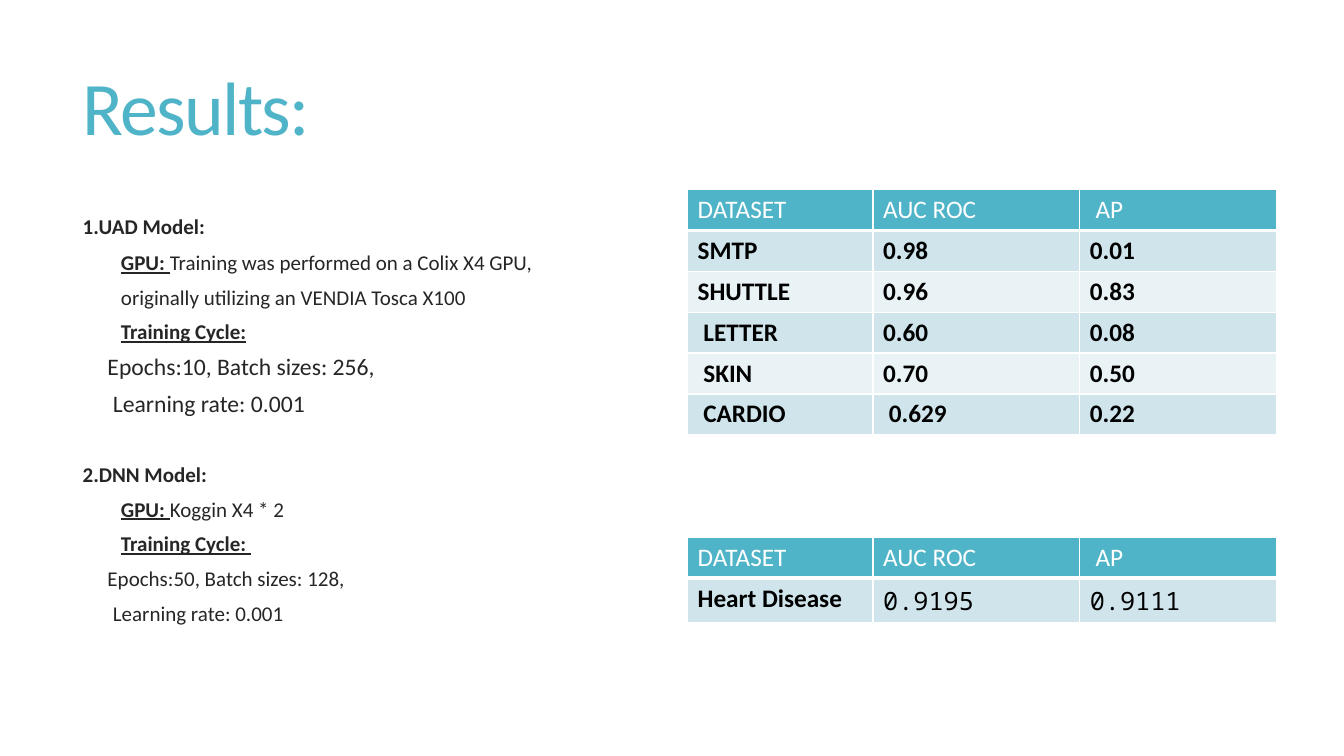
import dataclasses

import lxml.etree
import pptx
import pptx.dml.color
import pptx.enum.text
import pptx.oxml.ns
import pptx.util


@dataclasses.dataclass(frozen=True)
class Theme:
    """Colours, fonts and type sizes of the slide."""

    accent: str = "50B4C8"
    bands: tuple = ("D0E5EB", "E9F2F5")
    light: str = "FFFFFF"
    dark: str = "000000"
    ink: str = "262626"
    font: str = "Calibri"
    mono: str = "Noto Sans Mono"
    title: float = 54
    body: float = 15
    large: float = 16.9
    cell: float = 18
    leading: float = 0.65
    gap: float = 13
    section_gap: float = 38


class SlideBuilder:
    """Places styled elements by percentages of the slide's size."""

    def __init__(self, prs, theme):
        """Add a title and content slide."""
        self.prs, self.theme = prs, theme
        self.slide = prs.slides.add_slide(prs.slide_layouts[1])

    def x(self, share):
        """Return a percentage of the slide width."""
        return round(self.prs.slide_width * share / 100)

    def y(self, share):
        """Return a percentage of the slide height."""
        return round(self.prs.slide_height * share / 100)

    def style(self, font, size, color, name=None, bold=False):
        """Set the look of a font."""
        font.name, font.size, font.bold = name or self.theme.font, pptx.util.Pt(size), bold
        font.color.rgb = pptx.dml.color.RGBColor.from_string(color)

    def place(self, sp, left, top, width, height):
        """Move a placeholder and return its text frame."""
        sp.left, sp.top = self.x(left), self.y(top)
        sp.width, sp.height = self.x(width), self.y(height)
        tf = sp.text_frame
        tf.word_wrap = True
        tf.auto_size = pptx.enum.text.MSO_AUTO_SIZE.NONE
        return tf

    def title(self, text, *box):
        """Fill the title placeholder."""
        tf = self.place(self.slide.shapes.title, *box)
        tf.vertical_anchor = pptx.enum.text.MSO_ANCHOR.MIDDLE
        p = tf.paragraphs[0]
        p.alignment = pptx.enum.text.PP_ALIGN.LEFT
        self.style(p.font, self.theme.title, self.theme.accent)
        r = p.add_run()
        r.text = text
        r.font._element.set("spc", "-120")

    def body(self, sections, *box):
        """Fill the body placeholder with headed sections."""
        tf = self.place(self.slide.placeholders[1], *box)
        tf.vertical_anchor = pptx.enum.text.MSO_ANCHOR.TOP
        tf.margin_top = 0
        for number, (heading, lines) in enumerate(sections):
            p = tf.add_paragraph() if number else tf.paragraphs[0]
            self.line(p, "", heading, 0, self.theme.body, bold=True)
            p.space_before = pptx.util.Pt(self.theme.section_gap if number else 0)
            p.line_spacing = self.theme.leading if number else 1.0
            for label, text, indent, size in lines:
                self.line(tf.add_paragraph(), label, text, indent, size)

    def line(self, p, label, text, indent, size, bold=False):
        """Write one body line with an optional underlined label."""
        p.line_spacing, p.space_before = self.theme.leading, pptx.util.Pt(self.theme.gap)
        p.space_after = pptx.util.Pt(0)
        p.alignment = pptx.enum.text.PP_ALIGN.LEFT
        self.style(p.font, size, self.theme.ink, bold=bold)
        pPr = p._p.get_or_add_pPr()
        pPr.set("marL", str(self.x(indent)))
        pPr.set("indent", "0")
        pPr.insert_element_before(
            pPr.makeelement(pptx.oxml.ns.qn("a:buNone")), "a:tabLst", "a:defRPr", "a:extLst")
        if label:
            r = p.add_run()
            r.text = label
            r.font.bold = r.font.underline = True
        if text:
            p.add_run().text = text

    def table(self, rows, left, top, widths, heights, value_font=None):
        """Add a banded table with white rules."""
        frame = self.slide.shapes.add_table(
            len(rows), len(widths), self.x(left), self.y(top),
            self.x(sum(widths)), self.y(sum(heights)))
        for col, width in zip(frame.table.columns, widths):
            col.width = self.x(width)
        for i, (row, height) in enumerate(zip(rows, heights)):
            frame.table.rows[i].height = self.y(height)
            for j, text in enumerate(row):
                self.cell(frame.table.cell(i, j), text, i, value_font if i and j else None)

    def cell(self, cell, text, row, name):
        """Write, rule and fill one table cell."""
        theme = self.theme
        p = cell.text_frame.paragraphs[0]
        p.add_run().text = text
        self.style(p.font, theme.cell, theme.dark if row else theme.light,
                   name, bold=bool(row) and not name)
        tcPr = cell._tc.get_or_add_tcPr()
        qn = pptx.oxml.ns.qn
        for side in "LRTB":
            thick = (row, side) in ((0, "B"), (1, "T"))
            ln = lxml.etree.SubElement(
                tcPr, qn("a:ln" + side), w=str(pptx.util.Pt(3 if thick else 1)))
            fill = lxml.etree.SubElement(ln, qn("a:solidFill"))
            lxml.etree.SubElement(fill, qn("a:srgbClr"), val=theme.light)
        cell.fill.solid()
        cell.fill.fore_color.rgb = pptx.dml.color.RGBColor.from_string(
            theme.bands[(row - 1) % 2] if row else theme.accent)


def main():
    """Build and save the results slide."""
    prs = pptx.Presentation()
    prs.slide_width, prs.slide_height = pptx.util.Inches(13.33), pptx.util.Inches(7.5)
    theme = Theme()
    builder = SlideBuilder(prs, theme)
    builder.title("Results:", 5.4, 6.9, 88.4, 14)

    detail, setting, rate = 2.85, 1.85, 2.25
    sections = [
        ("1.UAD Model:", [
            ("GPU: ", "Training was performed on a Colix X4 GPU,", detail, theme.body),
            ("", "originally utilizing an VENDIA Tosca X100", detail, theme.body),
            ("Training Cycle:", "", detail, theme.body),
            ("", "Epochs:10, Batch sizes: 256,", setting, theme.large),
            ("", "Learning rate: 0.001", rate, theme.large)]),
        ("2.DNN Model:", [
            ("GPU: ", "Koggin X4 * 2", detail, theme.body),
            ("Training Cycle: ", "", detail, theme.body),
            ("", "Epochs:50, Batch sizes: 128,", setting, theme.body),
            ("", "Learning rate: 0.001", rate, theme.body)]),
    ]
    builder.body(sections, 5.4, 28.3, 44, 60)

    header = ("DATASET", "AUC ROC", " AP")
    scores = [
        header,
        ("SMTP", "0.98", "0.01"),
        ("SHUTTLE", "0.96", "0.83"),
        (" LETTER", "0.60", "0.08"),
        (" SKIN", "0.70", "0.50"),
        (" CARDIO", " 0.629", "0.22"),
    ]
    left, widths, row = 51.16, (13.8, 15.38, 14.63), 5.4
    builder.table(scores, left, 25.07, widths, [row] * len(scores))
    builder.table([header, ("Heart Disease", "0.9195", "0.9111")],
                  left, 71.07, widths, [row, 5.7], theme.mono)
    prs.save("out.pptx")


if __name__ == "__main__":
    main()
